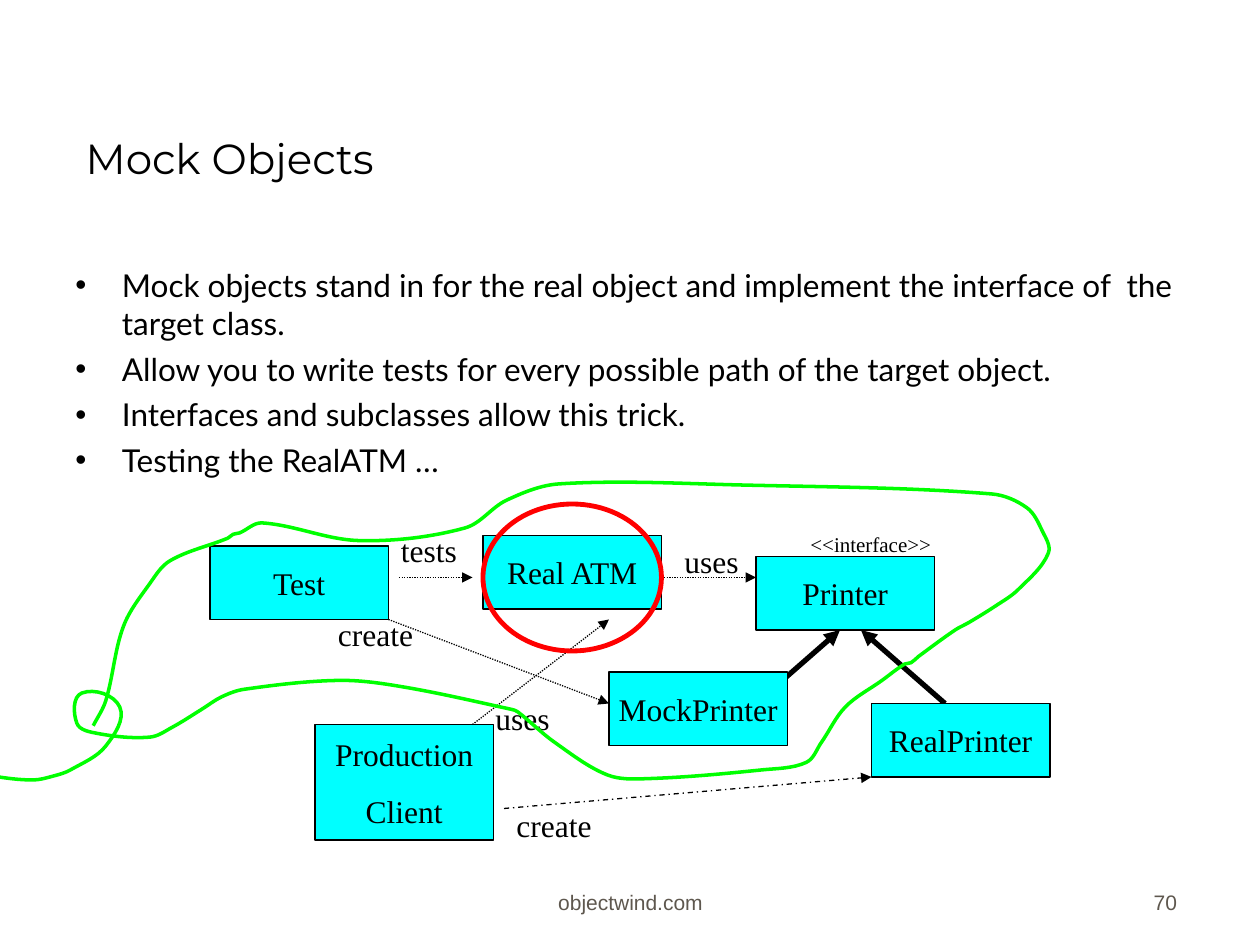
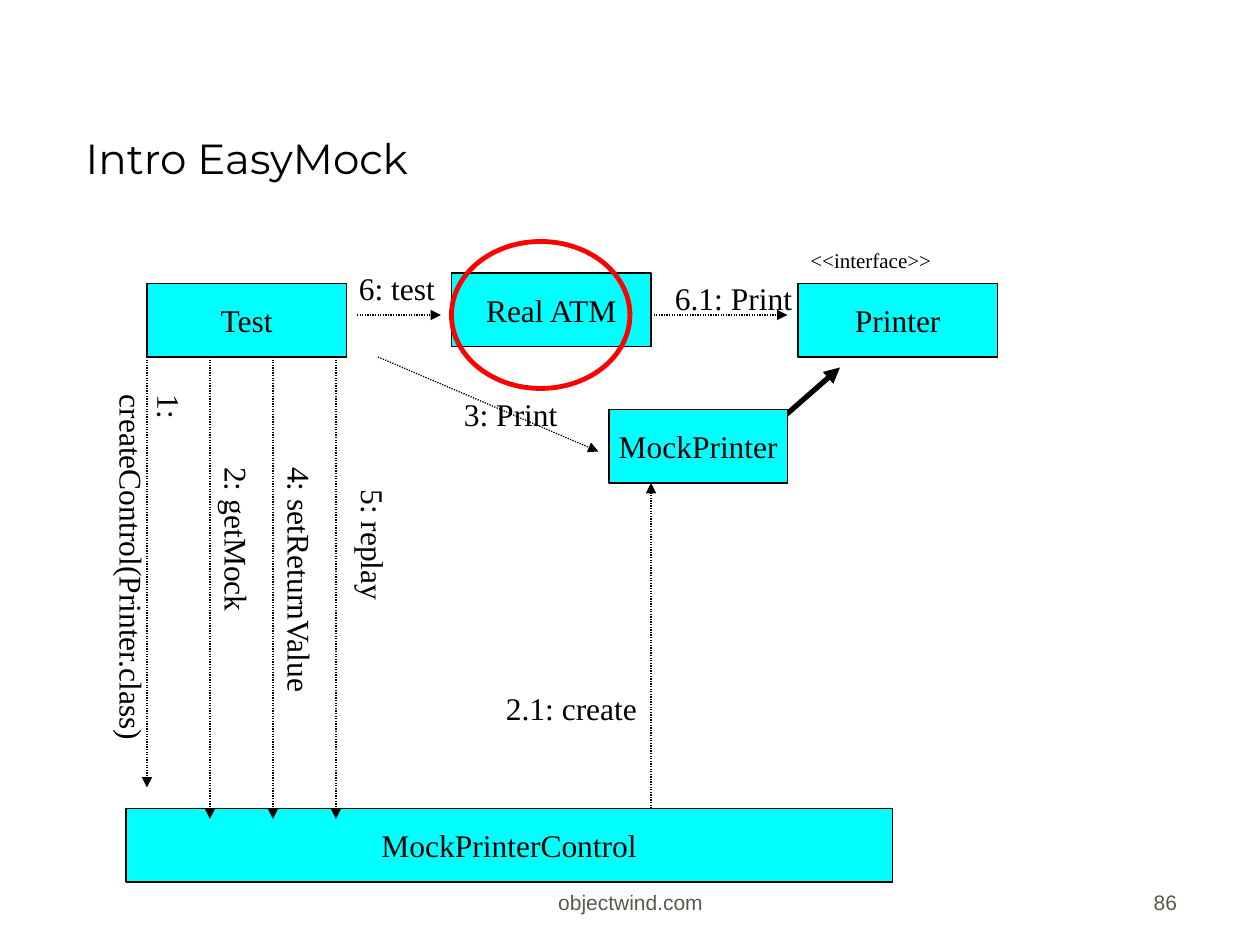
from dataclasses import dataclass

from lxml import etree
from pptx import Presentation
from pptx.dml.color import RGBColor
from pptx.enum.dml import MSO_LINE
from pptx.enum.shapes import MSO_CONNECTOR, MSO_SHAPE
from pptx.enum.text import MSO_ANCHOR, MSO_AUTO_SIZE, PP_ALIGN
from pptx.oxml.ns import qn
from pptx.util import Inches, Pt

LEFT, CENTER, RIGHT = PP_ALIGN.LEFT, PP_ALIGN.CENTER, PP_ALIGN.RIGHT
TOP, MIDDLE, BOTTOM = MSO_ANCHOR.TOP, MSO_ANCHOR.MIDDLE, MSO_ANCHOR.BOTTOM
RECT, OVAL = MSO_SHAPE.RECTANGLE, MSO_SHAPE.OVAL
STRAIGHT = MSO_CONNECTOR.STRAIGHT
DOTTED, DASH_DOT = MSO_LINE.ROUND_DOT, MSO_LINE.DASH_DOT

BLACK = RGBColor(0x00, 0x00, 0x00)
CYAN = RGBColor(0x00, 0xFF, 0xFF)
RED = RGBColor(0xFF, 0x00, 0x00)
GREEN = RGBColor(0x00, 0xFF, 0x00)
GREY = RGBColor(0x5E, 0x57, 0x4E)

TITLE_FONT, BODY_FONT = "Montserrat", "Lato"
DIAGRAM_FONT, FOOTER_FONT = "Times New Roman", "Arial"

SLIDE_W, SLIDE_H = Inches(10), Inches(7.5)
COLS, ROWS = 120, 90
BOX_W, BOX_H = 17, 7
TITLE_ONLY = 5

# Hand-drawn outline round the tested objects, in inches on the slide
OUTLINE = [
    (0.74, 5.76), (0.84, 5.56), (0.98, 4.97), (1.19, 4.63), (1.35, 4.45),
    (1.81, 4.27), (1.85, 4.24), (1.9, 4.23), (2.08, 4.15), (2.85, 4.29),
    (3.69, 4.19), (4.02, 3.97), (4.44, 3.84), (5.92, 3.85), (7.87, 3.92),
    (8.15, 4.03), (8.27, 4.21), (8.32, 4.39), (8.08, 4.68), (7.9, 4.81),
    (7.69, 4.94), (7.58, 5), (7.29, 5.21), (7.23, 5.26), (7.18, 5.27),
    (7, 5.4), (6.71, 5.61), (6.52, 5.89), (6.4, 6.05), (6.05, 6.11),
    (5.13, 6.18), (4.82, 6.15), (4.4, 5.89), (4.11, 5.65), (4.06, 5.63),
    (3.19, 5.45), (2.69, 5.4), (1.94, 5.47), (1.76, 5.53), (1.6, 5.63),
    (1.37, 5.77), (1.19, 5.85), (0.77, 5.82), (0.61, 5.74), (0.65, 5.5),
    (0.95, 5.61), (0.84, 5.92), (0.56, 6.11), (0.42, 6.16), (0.26, 6.19),
    (-0.05, 6.16), (-0.23, 6.11),
]


@dataclass
class Grid:
    """Cells of the slide, counted from the region's top left cell."""
    col: float = 0
    row: float = 0

    def point(self, x, y):
        return (round((self.col + x) * SLIDE_W / COLS),
                round((self.row + y) * SLIDE_H / ROWS))

    def box(self, x, y, w, h):
        return (*self.point(x, y),
                round(w * SLIDE_W / COLS), round(h * SLIDE_H / ROWS))


def share(x, y, w, h):
    return (round(x * SLIDE_W), round(y * SLIDE_H),
            round(w * SLIDE_W), round(h * SLIDE_H))


def add_bullet(p, char):
    pPr = p._p.get_or_add_pPr()
    pPr.set("marL", str(Inches(0.37)))
    pPr.set("indent", str(-Inches(0.37)))
    etree.SubElement(pPr, qn("a:buFont")).set("typeface", "Arial")
    etree.SubElement(pPr, qn("a:buChar")).set("char", char)


def write(sp, text, *, font=DIAGRAM_FONT, size=18, color=BLACK, align=LEFT,
          anchor=TOP, wrap=False, gap=11.2, bullet=None, vertical=False,
          grow=False):
    """Fill a shape with text, one paragraph for each line."""
    tf = sp.text_frame
    tf.word_wrap = wrap
    tf.vertical_anchor = anchor
    tf.auto_size = MSO_AUTO_SIZE.SHAPE_TO_FIT_TEXT if grow else MSO_AUTO_SIZE.NONE
    side, end = (0.05, 0.1) if vertical else (0.1, 0.05)
    tf.margin_left = tf.margin_right = Inches(side)
    tf.margin_top = tf.margin_bottom = Inches(end)
    if vertical:
        tf._txBody.bodyPr.set("vert", "eaVert")
    for i, line in enumerate(text.split("\n")):
        p = tf.paragraphs[0] if i == 0 else tf.add_paragraph()
        p.alignment = align
        p.space_before = Pt(gap if i else 0)
        if bullet:
            add_bullet(p, bullet)
        r = p.add_run()
        r.text = line
        r.font.name, r.font.size, r.font.bold = font, Pt(size), False
        r.font.color.rgb = color


def style(sp, line, width, fill=None):
    sp.shadow.inherit = False
    if fill is None:
        sp.fill.background()
    else:
        sp.fill.solid()
        sp.fill.fore_color.rgb = fill
    sp.line.color.rgb = line
    sp.line.width = Pt(width)


def add_node(s, grid, text, x, y, w=BOX_W, h=BOX_H):
    sp = s.shapes.add_shape(RECT, *grid.box(x, y, w, h))
    style(sp, BLACK, 0.75, CYAN)
    write(sp, text, align=CENTER, anchor=MIDDLE)


def add_arrow(s, grid, start, end, width=0.75, dash=None):
    c = s.shapes.add_connector(STRAIGHT, *grid.point(*start), *grid.point(*end))
    c.line.color.rgb = BLACK
    c.line.width = Pt(width)
    if dash:
        c.line.dash_style = dash
    etree.SubElement(c.line._get_or_add_ln(), qn("a:tailEnd")).set("type", "triangle")
    etree.SubElement(c._element.spPr, qn("a:effectLst"))


def add_label(s, grid, text, x, y, w, h=4.8, **fmt):
    sp = s.shapes.add_textbox(*grid.box(x, y, w, h))
    write(sp, text, grow=True, **fmt)


def add_diagram(s, grid, nodes, inherits, calls, labels, focus):
    """Draw inheritance below the nodes, calls and labels above them."""
    for start, end in inherits:
        add_arrow(s, grid, start, end, width=3)
    for node in nodes:
        add_node(s, grid, *node)
    for start, end in calls:
        add_arrow(s, grid, start, end, dash=DOTTED)
    for label in labels:
        add_label(s, grid, *label)
    x, y = focus
    style(s.shapes.add_shape(OVAL, *grid.box(x, y, BOX_W, 14)), RED, 2.75)


def handle(at, before, after, reach):
    """Control point on the tangent at a point, no longer than the reach."""
    dx, dy = after[0] - before[0], after[1] - before[1]
    scale = reach / 3 / max((dx * dx + dy * dy) ** 0.5, 1)
    return at[0] + dx * scale, at[1] + dy * scale


def add_outline(s, points):
    """Draw one curve through the points, a cubic segment between each two."""
    first, *rest = [(Inches(x), Inches(y)) for x, y in points]
    builder = s.shapes.build_freeform(*first)
    builder.add_line_segments(rest, close=False)
    sp = builder.convert_to_shape()
    style(sp, GREEN, 2)
    nodes = list(sp._element.iter(qn("a:pt")))
    local = [(int(pt.get("x")), int(pt.get("y"))) for pt in nodes]
    padded = [local[0], *local, local[-1]]
    for pt, a, b, c, d in zip(nodes[1:], padded, padded[1:], padded[2:], padded[3:]):
        reach = ((c[0] - b[0]) ** 2 + (c[1] - b[1]) ** 2) ** 0.5
        segment = pt.getparent()
        curve = etree.Element(qn("a:cubicBezTo"))
        for x, y in (handle(b, a, c, reach), handle(c, d, b, reach), c):
            etree.SubElement(curve, qn("a:pt"), x=str(round(x)), y=str(round(y)))
        segment.getparent().replace(segment, curve)


def add_slide(prs, title, number):
    s = prs.slides.add_slide(prs.slide_layouts[TITLE_ONLY])
    sp = s.shapes.title
    sp.left, sp.top, sp.width, sp.height = share(0.058, 0.033, 0.803, 0.167)
    write(sp, title, font=TITLE_FONT, size=24, anchor=BOTTOM, wrap=True)
    for text, x, w, align in (("objectwind.com", 0.342, 0.317, CENTER),
                              (number, 0.736, 0.208, RIGHT)):
        footer = s.shapes.add_textbox(*share(x, 0.908, w, 0.067))
        write(footer, text, font=FOOTER_FONT, size=12, color=GREY,
              align=align, anchor=BOTTOM, wrap=True)
    return s


def mock_objects(prs):
    s = add_slide(prs, "Mock Objects", "70")
    body = s.shapes.add_textbox(*share(0.05, 0.275, 0.894, 0.608))
    write(body, "Mock objects stand in for the real object and implement the "
                "interface of  the target class.\n"
                "Allow you to write tests for every possible path of the target object.\n"
                "Interfaces and subclasses allow this trick.\n"
                "Testing the RealATM …",
          font=BODY_FONT, wrap=True, gap=4.5, bullet="•")
    grid = Grid(20, 46)
    add_diagram(
        s, grid,
        nodes=[("Test", 0, 6), ("Real ATM", 26, 5), ("Printer", 52, 7),
               ("MockPrinter", 38, 18), ("RealPrinter", 63, 21),
               ("Production\nClient", 10, 23, BOX_W, 11)],
        inherits=[((52, 21), (60, 14)), ((70, 21), (62, 14))],
        calls=[((18, 9), (25, 9)), ((43, 9), (52, 9)),
               ((17, 13), (38, 21)), ((25, 23), (38, 13))],
        labels=[("tests", 17, 4, 7.8), ("uses", 44, 5, 7.7), ("uses", 26, 20, 7.7),
                ("create", 11, 12, 9.7), ("create", 28, 30.2, 9.7)],
        focus=(26, 2))
    add_arrow(s, grid, (28, 31), (63, 28), dash=DASH_DOT)
    add_label(s, grid, "<<interface>>", 56, 4, 14, 3.6, size=12)
    add_outline(s, OUTLINE)


def intro_easymock(prs):
    s = add_slide(prs, "Intro EasyMock", "86")
    grid = Grid(12, 23)
    control_calls = [((2 + 6 * i, 11), (2 + 6 * i, 55 if i else 52)) for i in range(4)]
    add_diagram(
        s, grid,
        nodes=[("Test", 2, 4, 19), ("Real ATM", 31, 3, 19), ("Printer", 64, 4, 19),
               ("MockPrinter", 46, 16), ("MockPrinterControl", 0, 54, 73)],
        inherits=[((60, 19), (68, 12))],
        calls=[((22, 7), (30, 7)), ((50, 7), (63, 7)), ((24, 11), (45, 20)),
               ((50, 54), (50, 23)), *control_calls],
        labels=[("6: test", 21, 2, 9.8), ("6.1: Print", 51.1, 3, 13.7),
                ("3: Print", 31, 14, 11.4), ("2.1: create", 35, 42, 15)],
        focus=(31, 0))
    add_label(s, grid, "<<interface>>", 64, 0, 14, 3.6, size=12)
    for text, x, y, h, wrap in (
            ("1: createControl(Printer.class)", 0.6, 13.4, 38, True),
            ("2: getMock", 7, 20.3, 22.4, False),
            ("4: setReturnValue", 13, 20.3, 23, False),
            ("5: replay", 20, 22.4, 16, True)):
        add_label(s, grid, text, x, y, 6, h, vertical=True, wrap=wrap)


def main():
    prs = Presentation()
    prs.slide_width, prs.slide_height = SLIDE_W, SLIDE_H
    mock_objects(prs)
    intro_easymock(prs)
    prs.save("out.pptx")


if __name__ == "__main__":
    main()
